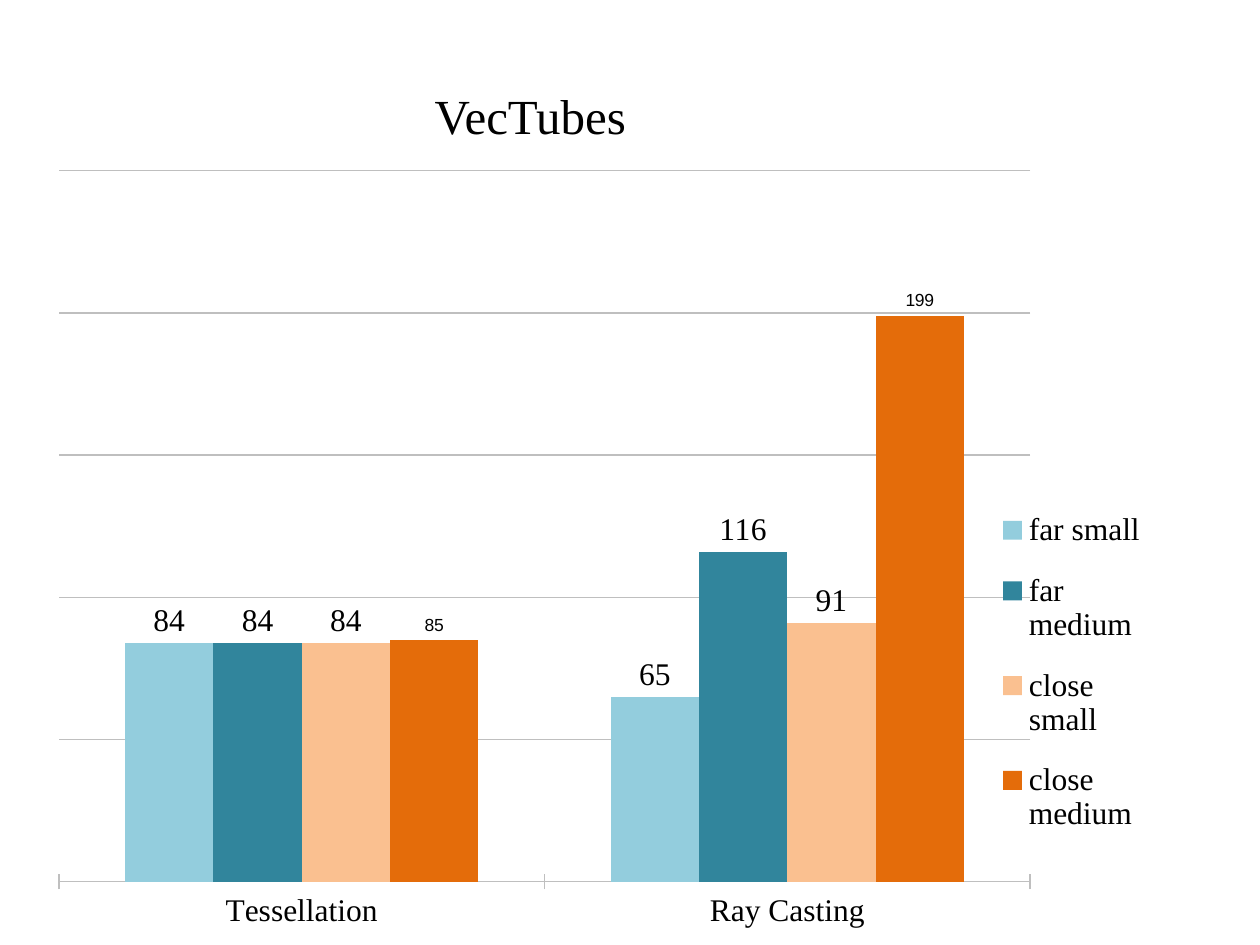
from typing import NamedTuple

import pptx
import pptx.chart.data
import pptx.dml.color
import pptx.enum.chart
import pptx.enum.text
import pptx.oxml
import pptx.oxml.ns
import pptx.util
from pptx.util import Inches


class Series(NamedTuple):
    name: str
    values: tuple[int, int]
    color: str
    label_font: str = "Times New Roman"
    label_size: int = 18


FONT = "Times New Roman"
GRID_COLOR = "BFBFBF"
CATEGORIES = ("Tessellation", "Ray Casting")
SERIES = (
    Series("far small", (84, 65), "93CDDD"),
    Series("far medium", (84, 116), "31859C"),
    Series("close small", (84, 91), "FAC090"),
    Series("close medium", (85, 199), "E46C0A", "Arial", 10),
)


def rgb(color: str) -> pptx.dml.color.RGBColor:
    return pptx.dml.color.RGBColor.from_string(color)


def set_font(font, name: str, size: float) -> None:
    font.name = name
    font.size = pptx.util.Pt(size)
    font.color.rgb = rgb("000000")


def set_line(line, color: str) -> None:
    line.color.rgb = rgb(color)
    line.width = pptx.util.Pt(0.75)


def place(parent, index: int, x: float, y: float, w: float, h: float,
          inner: bool = False) -> None:
    """Give a chart part a manual layout in fractions of the chart."""
    for old in parent.findall(pptx.oxml.ns.qn("c:layout")):
        parent.remove(old)
    target = '<c:layoutTarget val="inner"/>' if inner else ""
    modes = '<c:xMode val="edge"/><c:yMode val="edge"/>'
    sizes = "".join(f'<c:{key} val="{value}"/>'
                    for key, value in zip("xywh", (x, y, w, h)))
    parent.insert(index, pptx.oxml.parse_xml(
        f'<c:layout {pptx.oxml.ns.nsdecls("c")}><c:manualLayout>'
        f"{target}{modes}{sizes}</c:manualLayout></c:layout>"))


prs = pptx.Presentation()
prs.slide_width, prs.slide_height = Inches(10), Inches(7.5)
s = prs.slides.add_slide(prs.slide_layouts[5])

# Title
title = s.shapes.title
title.left, title.top = Inches(3.35), Inches(0.29)
title.width, title.height = Inches(1.82), Inches(1.25)
tf = title.text_frame
tf.text = "VecTubes"
tf.vertical_anchor = pptx.enum.text.MSO_ANCHOR.MIDDLE
p = tf.paragraphs[0]
p.alignment = pptx.enum.text.PP_ALIGN.LEFT
set_font(p.font, FONT, 28)

# Chart
data = pptx.chart.data.CategoryChartData()
data.categories = CATEGORIES
for item in SERIES:
    data.add_series(item.name, item.values)
chart = s.shapes.add_chart(
    pptx.enum.chart.XL_CHART_TYPE.COLUMN_CLUSTERED,
    Inches(0.28), Inches(1.23), Inches(9.4), Inches(6.27), data).chart
chart.has_title = False
set_font(chart.font, FONT, 18)

# Columns and value labels
plot = chart.plots[0]
plot.gap_width = 150
plot.overlap = 0
plot.vary_by_categories = False
for series, item in zip(plot.series, SERIES):
    series.format.fill.solid()
    series.format.fill.fore_color.rgb = rgb(item.color)
    labels = series.data_labels
    labels.show_value = True
    labels.position = pptx.enum.chart.XL_LABEL_POSITION.OUTSIDE_END
    set_font(labels.font, item.label_font, item.label_size)

# Axes
cat_axis, val_axis = chart.category_axis, chart.value_axis
cat_axis.major_tick_mark = pptx.enum.chart.XL_TICK_MARK.CROSS
set_line(cat_axis.format.line, GRID_COLOR)
val_axis.visible = False
val_axis.minimum_scale, val_axis.maximum_scale = 0, 250
val_axis.major_unit = 50
val_axis.has_major_gridlines = True
set_line(val_axis.major_gridlines.format.line, GRID_COLOR)

# Legend and layout
chart.has_legend = True
chart.legend.position = pptx.enum.chart.XL_LEGEND_POSITION.RIGHT
chart.legend.include_in_layout = False
place(chart.element.find(".//" + pptx.oxml.ns.qn("c:plotArea")), 0,
      0.02, 0.02, 0.82, 0.9, inner=True)
place(chart.element.find(".//" + pptx.oxml.ns.qn("c:legend")), 1,
      0.81, 0.42, 0.13, 0.47)

prs.save("out.pptx")
